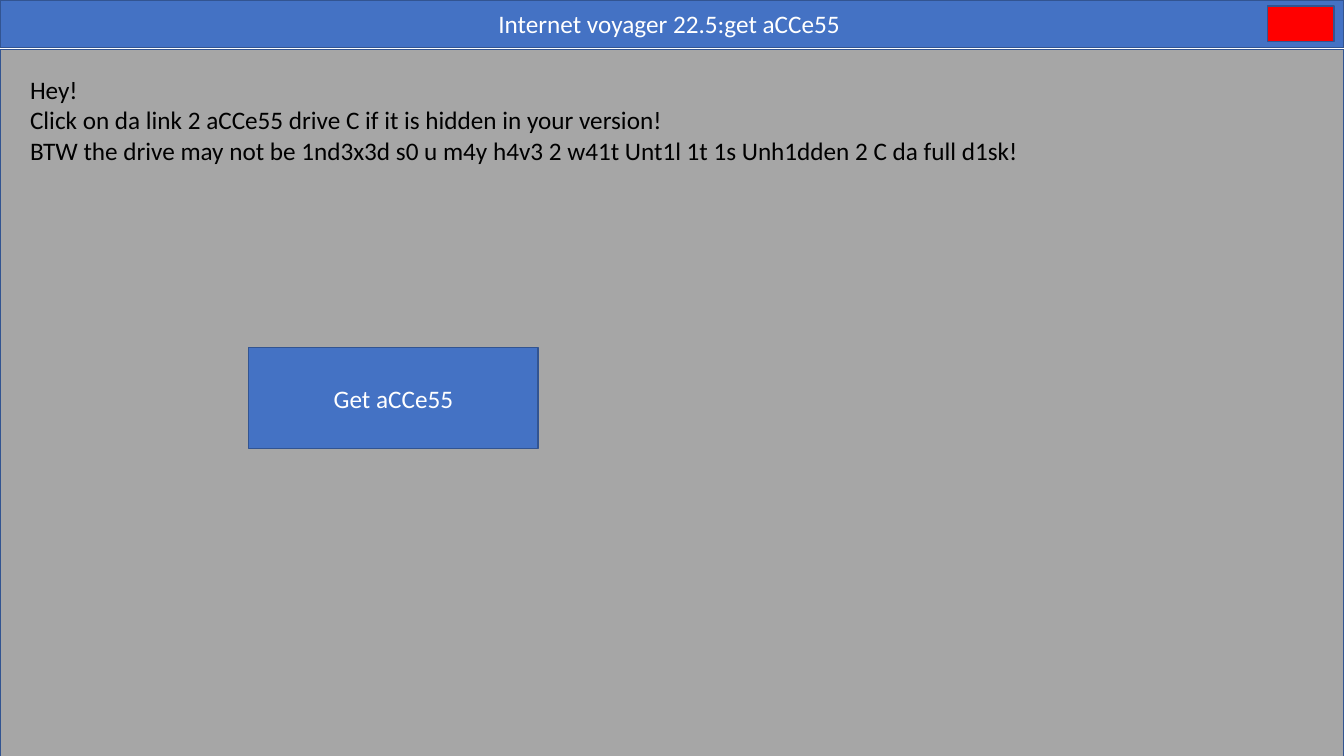
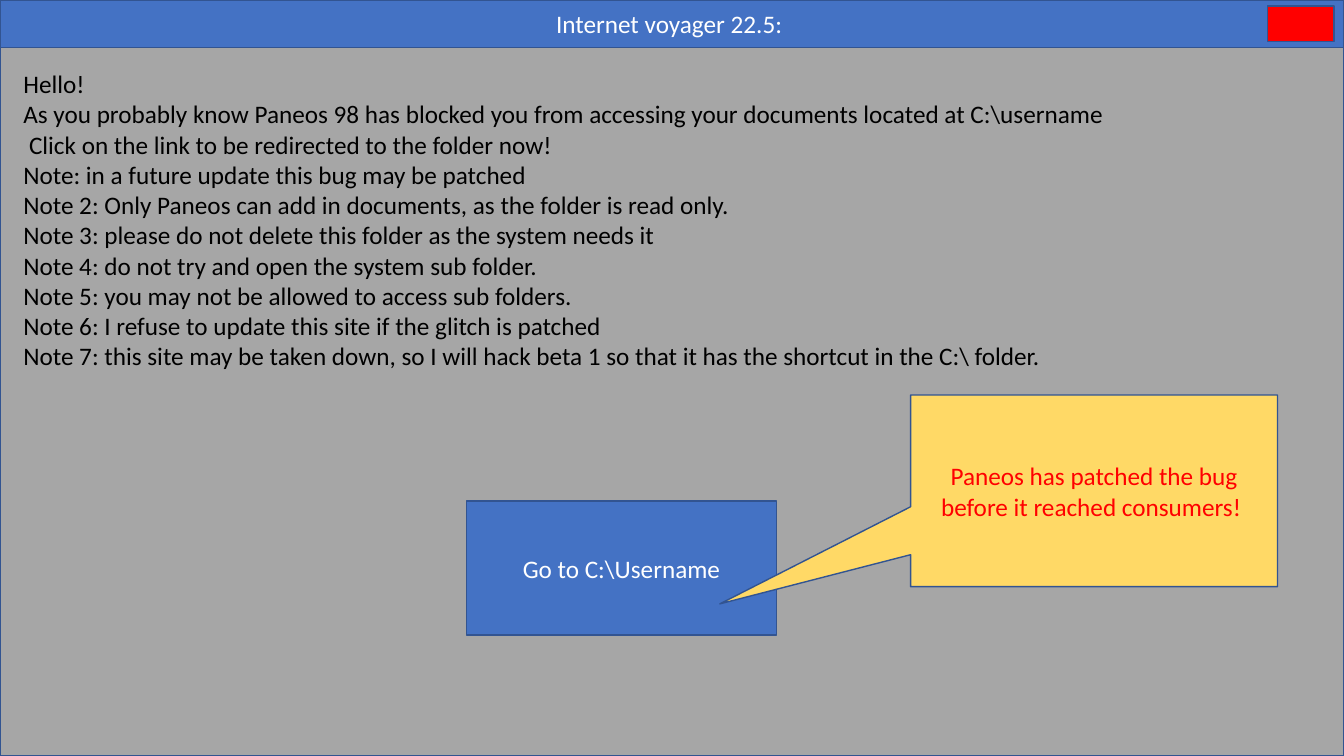
from pptx import Presentation
from pptx.dml.color import RGBColor
from pptx.enum.shapes import MSO_SHAPE
from pptx.enum.text import MSO_ANCHOR, MSO_AUTO_SIZE, PP_ALIGN
from pptx.util import Inches, Pt

WIDTH, HEIGHT = Inches(13.33), Inches(7.5)
COLORS = {
    "blue": "4472C4",
    "outline": "325491",
    "page": "A6A6A6",
    "red": "FF0000",
    "yellow": "FFD966",
    "white": "FFFFFF",
    "black": "000000",
}
FONT_NAME, FONT_SIZE = "Calibri", Pt(18)
BAND_HEIGHT = 6.27
BROWSER = "Internet voyager 22.5:"

ACCESS_LINES = [
    "Hey!",
    "Click on da link 2 aCCe55 drive C if it is hidden in your version!",
    "BTW the drive may not be 1nd3x3d s0 u m4y h4v3 2 w41t Unt1l 1t 1s Unh1dden 2 C da full d1sk!",
]
FOLDER_LINES = [
    "Hello!",
    "As you probably know Paneos 98 has blocked you from accessing your documents located at C:\\username",
    " Click on the link to be redirected to the folder now!",
    "Note: in a future update this bug may be patched",
    "Note 2: Only Paneos can add in documents, as the folder is read only.",
    "Note 3: please do not delete this folder as the system needs it",
    "Note 4: do not try and open the system sub folder.",
    "Note 5: you may not be allowed to access sub folders.",
    "Note 6: I refuse to update this site if the glitch is patched",
    "Note 7: this site may be taken down, so I will hack beta 1 so that it has the shortcut in the C:\\ folder.",
]


def color(name):
    """Return a named colour."""
    return RGBColor.from_string(COLORS[name])


def place(left, top, width, height):
    """Turn percentages of the slide's size into lengths."""
    return [
        round(share * side / 100)
        for share, side in zip((left, top, width, height), (WIDTH, HEIGHT) * 2)
    ]


def write(text_frame, lines, text_color, alignment):
    """Write one paragraph per line in the shared font."""
    text_frame.word_wrap = True
    text_frame.text = "\n".join(lines)
    for paragraph in text_frame.paragraphs:
        paragraph.alignment = alignment
        paragraph.font.name = FONT_NAME
        paragraph.font.size = FONT_SIZE
        paragraph.font.color.rgb = color(text_color)


def add_box(slide, area, fill, text="", text_color="white", kind=MSO_SHAPE.RECTANGLE):
    """Add an outlined shape with optional centred text."""
    shape = slide.shapes.add_shape(kind, *place(*area))
    shape.shadow.inherit = False
    shape.fill.solid()
    shape.fill.fore_color.rgb = color(fill)
    shape.line.color.rgb = color("outline")
    shape.line.width = Pt(1)
    if text:
        shape.text_frame.vertical_anchor = MSO_ANCHOR.MIDDLE
        write(shape.text_frame, [text], text_color, PP_ALIGN.CENTER)
    return shape


def add_message(slide, area, lines):
    """Add the body text of a web page."""
    text_frame = slide.shapes.add_textbox(*place(*area)).text_frame
    write(text_frame, lines, "black", PP_ALIGN.LEFT)
    text_frame.auto_size = MSO_AUTO_SIZE.SHAPE_TO_FIT_TEXT


def add_browser_slide(presentation, title, page_top=BAND_HEIGHT):
    """Add a slide with title band, page area and close button."""
    slide = presentation.slides.add_slide(presentation.slide_layouts[6])
    add_box(slide, (0, 0, 100, BAND_HEIGHT), "blue", title)
    add_box(slide, (0, page_top, 100, 100 - BAND_HEIGHT), "page")
    add_box(slide, (94.3, 0.8, 4.95, 4.67), "red")
    return slide


def add_callout(slide, area, text, tip):
    """Add a warning callout whose tip is relative to its centre."""
    callout = add_box(slide, area, "yellow", text, "red", MSO_SHAPE.RECTANGULAR_CALLOUT)
    callout.adjustments[0], callout.adjustments[1] = tip


def main():
    """Build both slides and save the presentation."""
    presentation = Presentation()
    presentation.slide_width, presentation.slide_height = WIDTH, HEIGHT

    access = add_browser_slide(presentation, BROWSER + "get aCCe55 ", page_top=6.53)
    add_message(access, (1.5, 9.2, 96.75, 17.5), ACCESS_LINES)
    add_box(access, (18.5, 46, 21.55, 13.33), "blue", "Get aCCe55")

    folder = add_browser_slide(presentation, BROWSER + " ")
    add_message(folder, (1, 8.4, 97.5, 41.7), FOLDER_LINES)
    add_box(folder, (34.73, 66.25, 23.03, 17.75), "blue", "Go to C:\\Username")
    add_callout(
        folder,
        (67.75, 52.25, 27.3, 25.35),
        "Paneos has patched the bug before it reached consumers! ",
        (-1.02, 0.59),
    )

    presentation.save("out.pptx")


if __name__ == "__main__":
    main()
